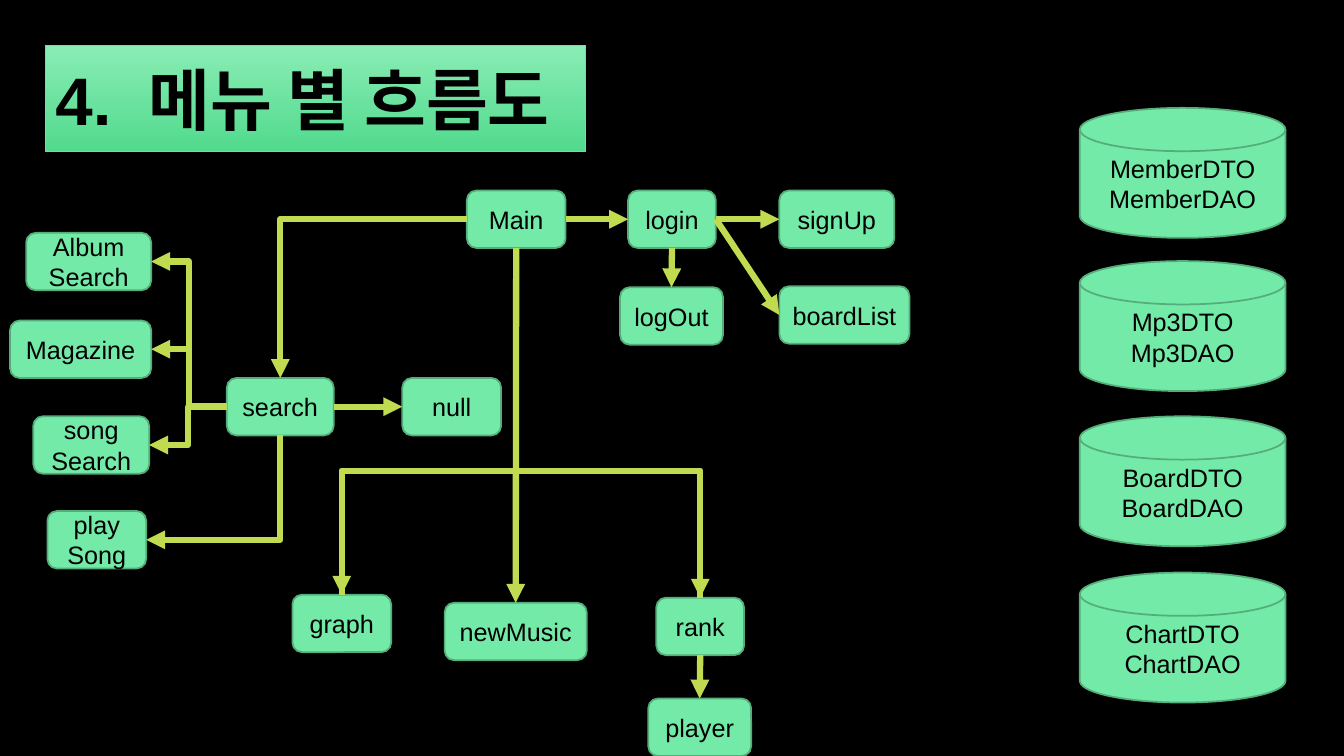
from dataclasses import dataclass

from lxml import etree
from pptx import Presentation
from pptx import util as u
from pptx.dml.color import RGBColor
from pptx.enum import shapes, text
from pptx.oxml import ns

TOP, LEFT, BOTTOM, RIGHT = range(4)  # connection sites of a box


@dataclass(frozen=True)
class Theme:
    font: str = "Arial"
    title_size: int = 48
    label_size: int = 18
    background: str = "000000"
    ink: str = "000000"
    box_fill: str = "73EAA7"
    box_line: str = "55AD7C"
    arrow: str = "C0DB50"
    title_fill: tuple = ("89EDB4", "52DA8E")
    title_line: str = "6EE0A0"


def add_element(parent, tag, **attributes):
    return etree.SubElement(parent, ns.qn(tag), **attributes)


class FlowPage:
    """Draws the parts of the flow chart on one slide in one theme."""

    def __init__(self, deck, theme):
        self.theme = theme
        self.page = deck.slides.add_slide(deck.slide_layouts[5])
        background = self.page.background.fill
        background.solid()
        background.fore_color.rgb = RGBColor.from_string(theme.background)

    def outline(self, line, color, width):
        line.color.rgb = RGBColor.from_string(color)
        line.width = u.Pt(width)

    def format_span(self, span, size, bold=False):
        span.font.name = self.theme.font
        span.font.size = u.Pt(size)
        span.font.bold = bold
        span.font.color.rgb = RGBColor.from_string(self.theme.ink)

    def title(self, number, heading, left, top, width, height):
        box = self.page.shapes.title
        box.left, box.top = u.Inches(left), u.Inches(top)
        box.width, box.height = u.Inches(width), u.Inches(height)
        geometry = add_element(box._element.spPr, "a:prstGeom", prst="roundRect")
        add_element(geometry, "a:avLst")

        box.fill.gradient()
        box.fill.gradient_angle = 270
        for position, (stop, color) in enumerate(
            zip(box.fill.gradient_stops, self.theme.title_fill)
        ):
            stop.position = position
            stop.color.rgb = RGBColor.from_string(color)
        self.outline(box.line, self.theme.title_line, 0.75)

        frame = box.text_frame
        frame.word_wrap = True
        frame.auto_size = text.MSO_AUTO_SIZE.NONE
        frame.vertical_anchor = text.MSO_ANCHOR.MIDDLE
        para = frame.paragraphs[0]
        para.alignment = text.PP_ALIGN.LEFT
        for part in (number, " ", heading):
            span = para.add_run()
            span.text = part
            self.format_span(span, self.theme.title_size, bold=True)
        # widen the gap between the number and the heading
        para.runs[1].font._element.set("spc", "1300")

    def box(self, kind, label, left, top, width, height):
        box = self.page.shapes.add_shape(
            kind, *(u.Inches(value) for value in (left, top, width, height))
        )
        box.shadow.inherit = False
        box.fill.solid()
        box.fill.fore_color.rgb = RGBColor.from_string(self.theme.box_fill)
        self.outline(box.line, self.theme.box_line, 1.25)
        frame = box.text_frame
        frame.text = label
        frame.word_wrap = False
        frame.vertical_anchor = text.MSO_ANCHOR.MIDDLE
        para = frame.paragraphs[0]
        para.alignment = text.PP_ALIGN.CENTER
        for span in para.runs:
            self.format_span(span, self.theme.label_size)
        return box

    def arrow(self, source, source_site, target, target_site,
              kind=shapes.MSO_CONNECTOR.STRAIGHT):
        """Glue an arrow from a site of one box to a site of another."""
        arrow = self.page.shapes.add_connector(kind, 0, 0, 0, 0)
        arrow.begin_connect(source, source_site)
        arrow.end_connect(target, target_site)
        self.outline(arrow.line, self.theme.arrow, 4.5)
        add_element(arrow.line._get_or_add_ln(), "a:tailEnd", type="triangle")
        add_element(arrow._element.spPr, "a:effectLst")
        return arrow

    def elbow(self, *ends):
        return self.arrow(*ends, kind=shapes.MSO_CONNECTOR.ELBOW)

    def corner(self, *ends):
        """Draw an elbow with a single turn, horizontal first."""
        arrow = self.elbow(*ends)
        arrow._element.spPr.find(ns.qn("a:prstGeom")).set("prst", "bentConnector2")
        return arrow

    def stand_up(self, arrow, turn_y=None):
        """Make an elbow leave vertically, turning at turn_y if one is given."""
        start_y = arrow.begin_y
        across, down = arrow.end_x - arrow.begin_x, arrow.end_y - start_y
        middle_x = (arrow.begin_x + arrow.end_x) // 2
        middle_y = (start_y + arrow.end_y) // 2
        arrow.begin_x, arrow.begin_y = middle_x - down // 2, middle_y + across // 2
        arrow.end_x, arrow.end_y = middle_x + down // 2, middle_y - across // 2
        properties = arrow._element.spPr
        properties.find(ns.qn("a:xfrm")).set("rot", str(90 * 60000))
        if turn_y is not None:
            ratio = round((u.Inches(turn_y) - start_y) / down * 100000)
            guides = properties.find(ns.qn("a:prstGeom")).find(ns.qn("a:avLst"))
            add_element(guides, "a:gd", name="adj1", fmla=f"val {ratio}")


MENUS = {  # label: left, top, width
    "Main": (4.63, 1.89, 0.98),
    "login": (6.23, 1.89, 0.87),
    "signUp": (7.73, 1.89, 1.14),
    "logOut": (6.15, 2.85, 1.02),
    "boardList": (7.73, 2.84, 1.29),
    "newMusic": (4.41, 5.98, 1.41),
    "rank": (6.51, 5.93, 0.87),
    "player": (6.43, 6.93, 1.02),
    "graph": (2.9, 5.9, 0.98),
    "Album\vSearch": (0.26, 2.31, 1.24),
    "Magazine": (0.1, 3.18, 1.4),
    "song\vSearch": (0.33, 4.13, 1.15),
    "play\vSong": (0.47, 5.07, 0.98),
    "search": (2.25, 3.75, 1.06),
    "null": (3.99, 3.75, 0.98),
}
MENU_HEIGHT = 0.57
STRAIGHT_STEPS = [
    ("Main", RIGHT, "login", LEFT),
    ("login", RIGHT, "signUp", LEFT),
    ("login", RIGHT, "boardList", LEFT),
    ("login", BOTTOM, "logOut", TOP),
    ("Main", BOTTOM, "newMusic", TOP),
    ("rank", BOTTOM, "player", TOP),
    ("search", RIGHT, "null", LEFT),
]
STORES = {"Member": 1.07, "Mp3": 2.59, "Board": 4.13, "Chart": 5.68}
BRANCH_Y = 4.67


def main():
    deck = Presentation()
    deck.slide_width, deck.slide_height = u.Inches(13.33), u.Inches(7.5)
    flow = FlowPage(deck, Theme())
    flow.title("4.", "메뉴 별 흐름도", 0.45, 0.45, 5.36, 1.05)

    rounded = shapes.MSO_SHAPE.ROUNDED_RECTANGLE
    menus = {
        label: flow.box(rounded, label, *place, MENU_HEIGHT)
        for label, place in MENUS.items()
    }
    for source, source_site, target, target_site in STRAIGHT_STEPS:
        flow.arrow(menus[source], source_site, menus[target], target_site)

    search, graph, rank = menus["search"], menus["graph"], menus["rank"]
    flow.corner(menus["Main"], LEFT, search, TOP)
    for label in ("Album\vSearch", "Magazine", "song\vSearch"):
        flow.elbow(search, LEFT, menus[label], RIGHT)
    flow.stand_up(flow.corner(search, BOTTOM, menus["play\vSong"], RIGHT))
    for source, target in ((graph, rank), (rank, graph)):
        flow.stand_up(flow.elbow(source, TOP, target, TOP), BRANCH_Y)

    disk = shapes.MSO_SHAPE.FLOWCHART_MAGNETIC_DISK
    for name, top in STORES.items():
        flow.box(disk, f"{name}DTO\v{name}DAO", 10.71, top, 2.04, 1.29)
    deck.save("out.pptx")


if __name__ == "__main__":
    main()
